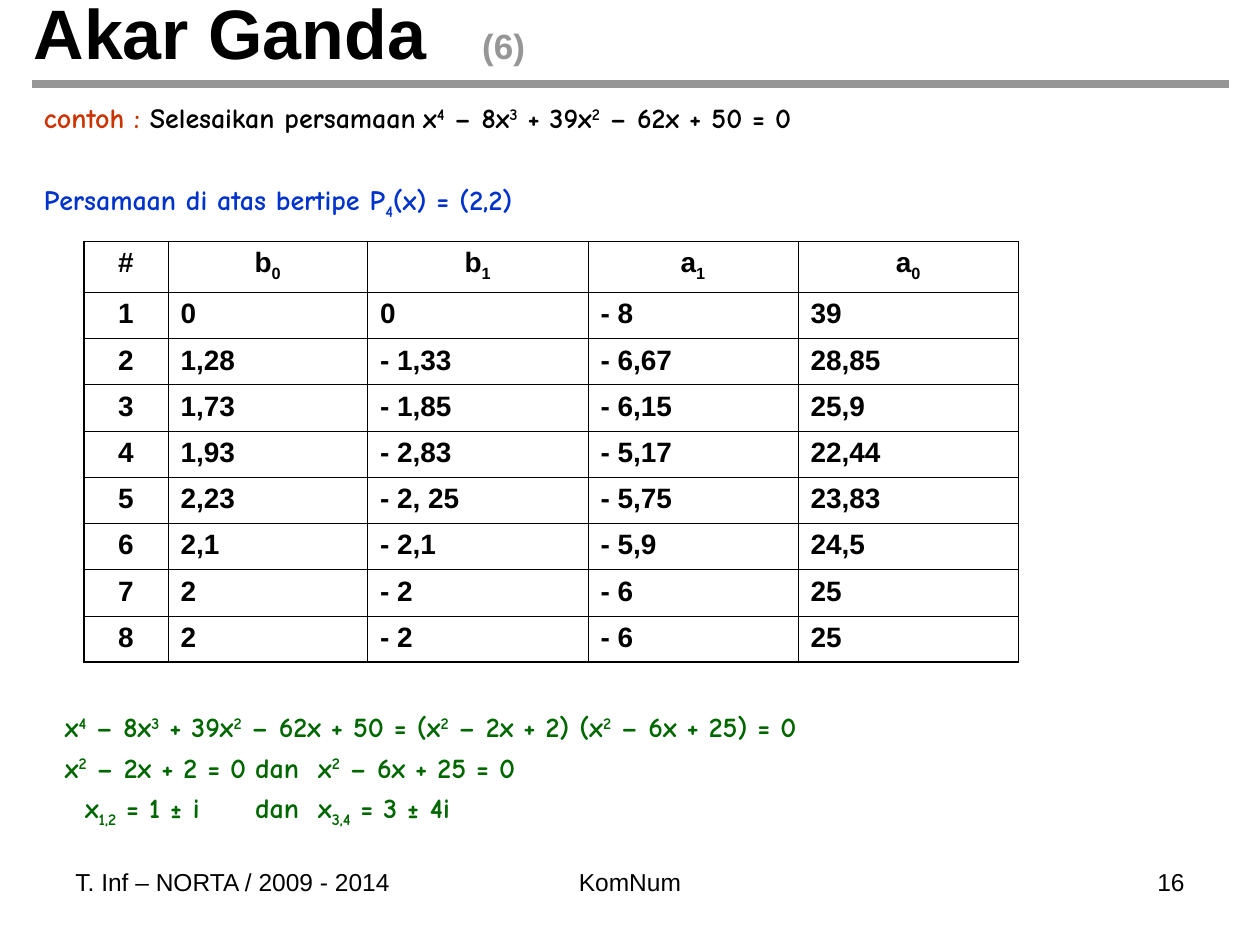
from typing import NamedTuple

from lxml.etree import SubElement
from pptx import Presentation
from pptx.dml.color import RGBColor
from pptx.enum.shapes import MSO_CONNECTOR
from pptx.enum.text import MSO_ANCHOR, MSO_AUTO_SIZE, PP_ALIGN
from pptx.oxml import parse_xml
from pptx.oxml.ns import nsdecls, qn
from pptx.util import Inches, Pt

BLACK = RGBColor(0x00, 0x00, 0x00)
GREY = RGBColor(0x96, 0x96, 0x96)
RED = RGBColor(0xCC, 0x33, 0x00)
BLUE = RGBColor(0x00, 0x33, 0xCC)
GREEN = RGBColor(0x00, 0x66, 0x00)
SANS, COMIC = "Arial", "Comic Neue"

# The slide is a grid of 120 columns and 90 rows
COLS, ROWS = 120, 90
UNIT = Inches(10) / COLS
HANG = 0.51
THIN, THICK = Pt(0.45), Pt(1.08)
SHIFTS = {"^": "30000", "_": "-25000"}


def grid(count: float) -> int:
    return round(count * UNIT)


class Box(NamedTuple):
    left: float
    top: float
    width: float
    height: float

    def frame(self) -> list[int]:
        return [grid(side) for side in self]


class Style(NamedTuple):
    font: str
    size: float
    color: RGBColor
    bold: bool = False
    align: PP_ALIGN = PP_ALIGN.LEFT
    before: float = 0


class Line(NamedTuple):
    text: str  # parts split by "|"; ^ raises a part, _ lowers it
    style: Style
    tabs: tuple[float, ...] = ()
    hang: float = 0
    lead: float = 0


def write(para, line: Line) -> None:
    style = line.style
    para.alignment = style.align
    para.space_before = Pt(style.before)
    props = para._p.get_or_add_pPr()
    if line.hang:
        props.set("marL", str(Inches(line.hang)))
        props.set("indent", str(Inches(line.lead - line.hang)))
    if line.tabs:
        stops = SubElement(props, qn("a:tabLst"))
        for stop in line.tabs:
            SubElement(stops, qn("a:tab"), pos=str(Inches(stop)), algn="l")
    font = para.font
    font.name, font.size, font.bold = style.font, Pt(style.size), style.bold
    font.color.rgb = style.color
    for part in line.text.split("|"):
        run = para.add_run()
        shift = SHIFTS.get(part[:1])
        run.text = part[1:] if shift else part
        if shift:
            run._r.get_or_add_rPr().set("baseline", shift)


def add_text(slide, box: Box, lines: list[Line]):
    frame = slide.shapes.add_textbox(*box.frame()).text_frame
    frame.word_wrap = True
    for pos, line in enumerate(lines):
        write(frame.add_paragraph() if pos else frame.paragraphs[0], line)
    return frame


def edge(cell, sides: dict[str, int]) -> None:
    props = cell._tc.get_or_add_tcPr()
    for pos, (side, width) in enumerate(sides.items()):
        props.insert(pos, parse_xml(
            f'<a:ln{side} {nsdecls("a")} w="{width}"><a:solidFill>'
            f'<a:srgbClr val="{BLACK}"/></a:solidFill></a:ln{side}>'))


def add_grid(slide, box: Box, widths: list[float], heights: list[float],
             data: list[list[str]]) -> None:
    last, end = len(data) - 1, len(widths) - 1
    table = slide.shapes.add_table(
        last + 1, end + 1, *box.frame()).table
    table.first_row = table.horz_banding = False
    for col, width in zip(table.columns, widths):
        col.width = grid(width)
    for row, height in zip(table.rows, heights):
        row.height = grid(height)
    for r, items in enumerate(data):
        for c, item in enumerate(items):
            cell = table.cell(r, c)
            cell.fill.background()
            mid = r == 0 or c == 0
            align = PP_ALIGN.CENTER if mid else PP_ALIGN.LEFT
            write(cell.text_frame.paragraphs[0],
                  Line(item, Style(SANS, 16, BLACK, True, align, 4)))
            edge(cell, {"L": THIN if c else THICK,
                        "R": THICK if c == end else THIN,
                        "T": THIN if r else THICK,
                        "B": THICK if r == last else THIN})


def main() -> None:
    deck = Presentation()
    deck.slide_width, deck.slide_height = grid(COLS), grid(ROWS)
    slide = deck.slides.add_slide(deck.slide_layouts[5])

    # Title and rule
    title = slide.shapes.title
    title.left, title.top, title.width, title.height = Box(2, 0, 108, 6).frame()
    frame = title.text_frame
    frame.vertical_anchor = MSO_ANCHOR.MIDDLE
    frame.auto_size = MSO_AUTO_SIZE.NONE
    head = frame.paragraphs[0]
    write(head, Line("Akar Ganda|\t(6)", Style(SANS, 40, BLACK, True), (3.56,)))
    count = head.runs[1].font
    count.size, count.color.rgb = Pt(20), GREY
    rule = slide.shapes.add_connector(
        MSO_CONNECTOR.STRAIGHT, grid(3), grid(8), grid(117), grid(8))
    rule.line.color.rgb, rule.line.width = GREY, Pt(4.5)
    SubElement(rule._element.spPr, qn("a:effectLst"))

    # Problem
    black, blue, green = (Style(COMIC, 16, color, True, before=4)
                          for color in (BLACK, BLUE, GREEN))
    task = add_text(slide, Box(3, 9, 87, 13), [
        Line("contoh :| Selesaikan persamaan\tx|^4| – 8x|^3| + 39x|^2"
             "| – 62x + 50 = 0", black, (2.59,), HANG),
        Line("Persamaan di atas bertipe P|_4|(x) = (2,2)",
             blue._replace(before=27.4), hang=HANG)])
    task.paragraphs[0].runs[0].font.color.rgb = RED

    # Iterations
    steps = [
        ("0", "0", "- 8", "39"),
        ("1,28", "- 1,33", "- 6,67", "28,85"),
        ("1,73", "- 1,85", "- 6,15", "25,9"),
        ("1,93", "- 2,83", "- 5,17", "22,44"),
        ("2,23", "- 2, 25", "- 5,75", "23,83"),
        ("2,1", "- 2,1", "- 5,9", "24,5"),
        ("2", "- 2", "- 6", "25"),
        ("2", "- 2", "- 6", "25")]
    data = [["#", "b|_0", "b|_1", "a|_1", "a|_0"]]
    data += [[str(num), *step] for num, step in enumerate(steps, 1)]
    add_grid(slide, Box(8, 23, 89, 40), [8, 19, 21, 20, 21],
             [4.8] + [4.4] * len(steps), data)

    # Roots
    add_text(slide, Box(5, 67, 110, 13), [
        Line("x|^4| – 8x|^3| + 39x|^2| – 62x + 50 = (x|^2| – 2x + 2) (x|^2"
             "| – 6x + 25) = 0", green, hang=HANG),
        Line("x|^2| – 2x + 2 = 0\tdan\tx|^2| – 6x + 25 = 0",
             green, (1, 1.66), HANG),
        Line("x|_1,2| = 1 ± i\tdan\tx|_3,4| = 3 ± 4i",
             green, (1, 2), HANG, 0.16)])

    # Footer
    for left, width, text, align in (
            (6, 33, "T. Inf – NORTA / 2009 - 2014", PP_ALIGN.LEFT),
            (41, 38, "KomNum", PP_ALIGN.CENTER),
            (86, 28, "16", PP_ALIGN.RIGHT)):
        add_text(slide, Box(left, 82, width, 6.25),
                 [Line(text, Style(SANS, 14, BLACK, align=align))])

    deck.save("out.pptx")


if __name__ == "__main__":
    main()
